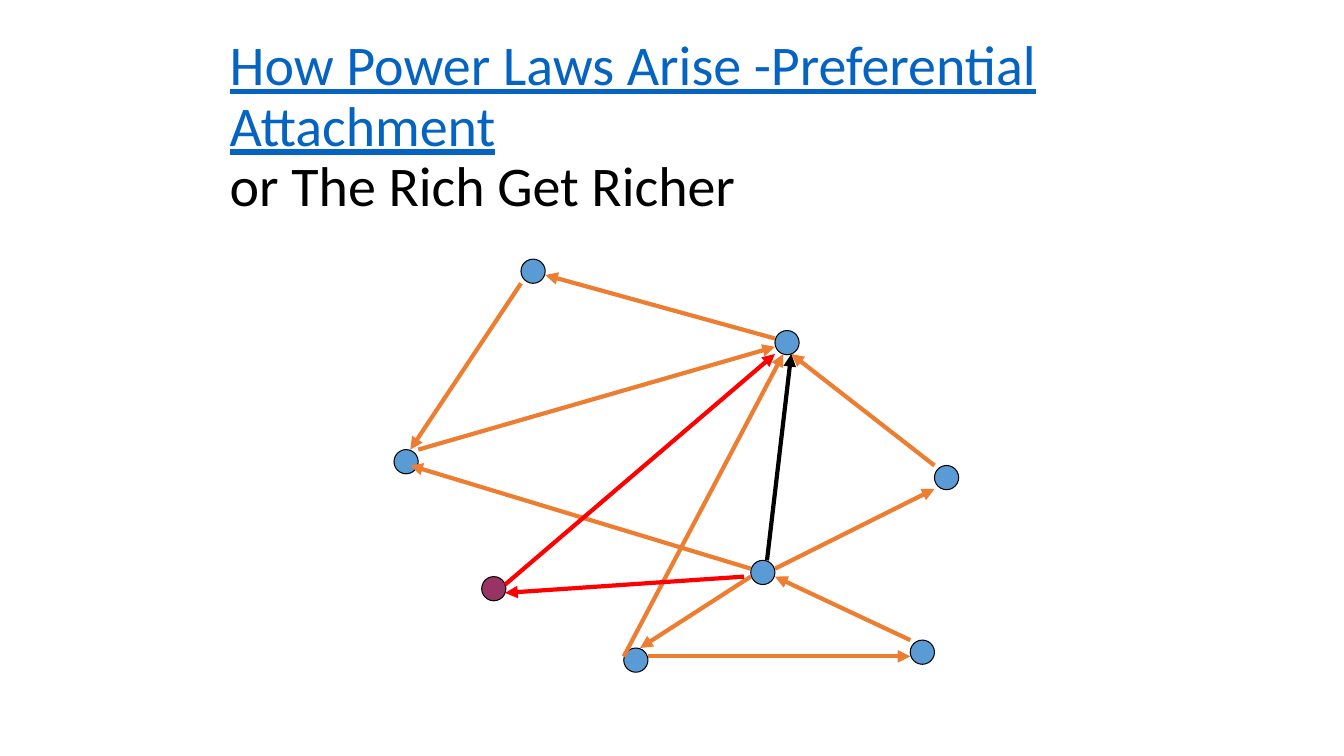
from dataclasses import dataclass

from lxml.etree import SubElement
from pptx import Presentation
from pptx.dml.color import RGBColor
from pptx.enum.shapes import MSO_CONNECTOR, MSO_SHAPE
from pptx.enum.text import MSO_ANCHOR, PP_ALIGN
from pptx.oxml.ns import qn
from pptx.slide import Slide
from pptx.util import Cm, Pt


@dataclass(frozen=True)
class Theme:
    font: str = "Calibri"
    title: Pt = Pt(40)
    link: RGBColor = RGBColor(0x05, 0x63, 0xC1)
    black: RGBColor = RGBColor(0x00, 0x00, 0x00)
    blue: RGBColor = RGBColor(0x5B, 0x9B, 0xD5)
    plum: RGBColor = RGBColor(0x99, 0x33, 0x66)
    orange: RGBColor = RGBColor(0xED, 0x7D, 0x31)
    red: RGBColor = RGBColor(0xFF, 0x00, 0x00)
    rim: Pt = Pt(0.75)
    stroke: Pt = Pt(3)


@dataclass(frozen=True)
class Node:
    left: float
    top: float
    fill: RGBColor


@dataclass(frozen=True)
class Arrow:
    start: tuple[float, float]
    end: tuple[float, float]
    color: RGBColor


THEME = Theme()
SIZE = 0.61  # node diameter in cm

NODES = [
    Node(13.13, 6.53, THEME.blue),
    Node(19.53, 8.33, THEME.blue),
    Node(23.55, 11.73, THEME.blue),
    Node(22.94, 16.13, THEME.blue),
    Node(18.92, 14.12, THEME.blue),
    Node(9.93, 11.33, THEME.blue),
    Node(12.14, 14.53, THEME.plum),
    Node(15.72, 16.33, THEME.blue),
]

ARROWS = [
    # Existing links
    Arrow((19.53, 8.53), (13.74, 6.93), THEME.orange),
    Arrow((23.55, 11.73), (19.94, 8.92), THEME.orange),
    Arrow((10.54, 11.33), (19.53, 8.74), THEME.orange),
    Arrow((13.13, 7.14), (10.34, 11.33), THEME.orange),
    Arrow((22.94, 16.13), (19.53, 14.53), THEME.orange),
    Arrow((16.33, 16.54), (22.94, 16.54), THEME.orange),
    Arrow((19.53, 14.33), (23.55, 12.32), THEME.orange),
    Arrow((18.92, 14.53), (16.13, 16.33), THEME.orange),
    Arrow((18.92, 14.33), (10.34, 11.73), THEME.orange),
    Arrow((15.72, 16.54), (19.74, 8.92), THEME.orange),
    # Links of the new node
    Arrow((18.75, 14.53), (12.73, 14.94), THEME.red),
    Arrow((12.73, 14.73), (19.53, 8.92), THEME.red),
    # Added link to the popular node
    Arrow((19.33, 14.12), (19.94, 8.92), THEME.black),
]


def add_title(slide: Slide) -> None:
    box = slide.shapes.add_textbox(Cm(5.54), Cm(0.76), Cm(22.83), Cm(4.95))
    frame = box.text_frame
    frame.word_wrap = True
    frame.vertical_anchor = MSO_ANCHOR.MIDDLE
    para = frame.paragraphs[0]
    para.text = "How Power Laws Arise -Preferential Attachment\vor The Rich Get Richer"
    para.alignment = PP_ALIGN.LEFT
    para.line_spacing = 0.9
    para.font.size = THEME.title
    for run, color in zip(para.runs, (THEME.link, THEME.black)):
        run.font.name = THEME.font
        run.font.size = THEME.title
        run.font.color.rgb = color
        run.font.underline = color == THEME.link


def add_node(slide: Slide, node: Node) -> None:
    dot = slide.shapes.add_shape(
        MSO_SHAPE.OVAL, Cm(node.left), Cm(node.top), Cm(SIZE), Cm(SIZE)
    )
    dot.shadow.inherit = False
    dot.fill.solid()
    dot.fill.fore_color.rgb = node.fill
    dot.line.color.rgb = THEME.black
    dot.line.width = THEME.rim


def add_arrow(slide: Slide, arrow: Arrow) -> None:
    ends = [Cm(value) for value in arrow.start + arrow.end]
    link = slide.shapes.add_connector(MSO_CONNECTOR.STRAIGHT, *ends)
    link.line.color.rgb = arrow.color
    link.line.width = THEME.stroke
    # Arrowhead, and no shadow
    SubElement(link.line._get_or_add_ln(), qn("a:tailEnd"), type="triangle")
    SubElement(link._element.spPr, qn("a:effectLst"))


def main() -> None:
    deck = Presentation()
    deck.slide_width = Cm(33.87)
    deck.slide_height = Cm(19.05)
    slide = deck.slides.add_slide(deck.slide_layouts[6])

    add_title(slide)
    for node in NODES:
        add_node(slide, node)
    for arrow in ARROWS:
        add_arrow(slide, arrow)

    deck.save("out.pptx")


if __name__ == "__main__":
    main()
